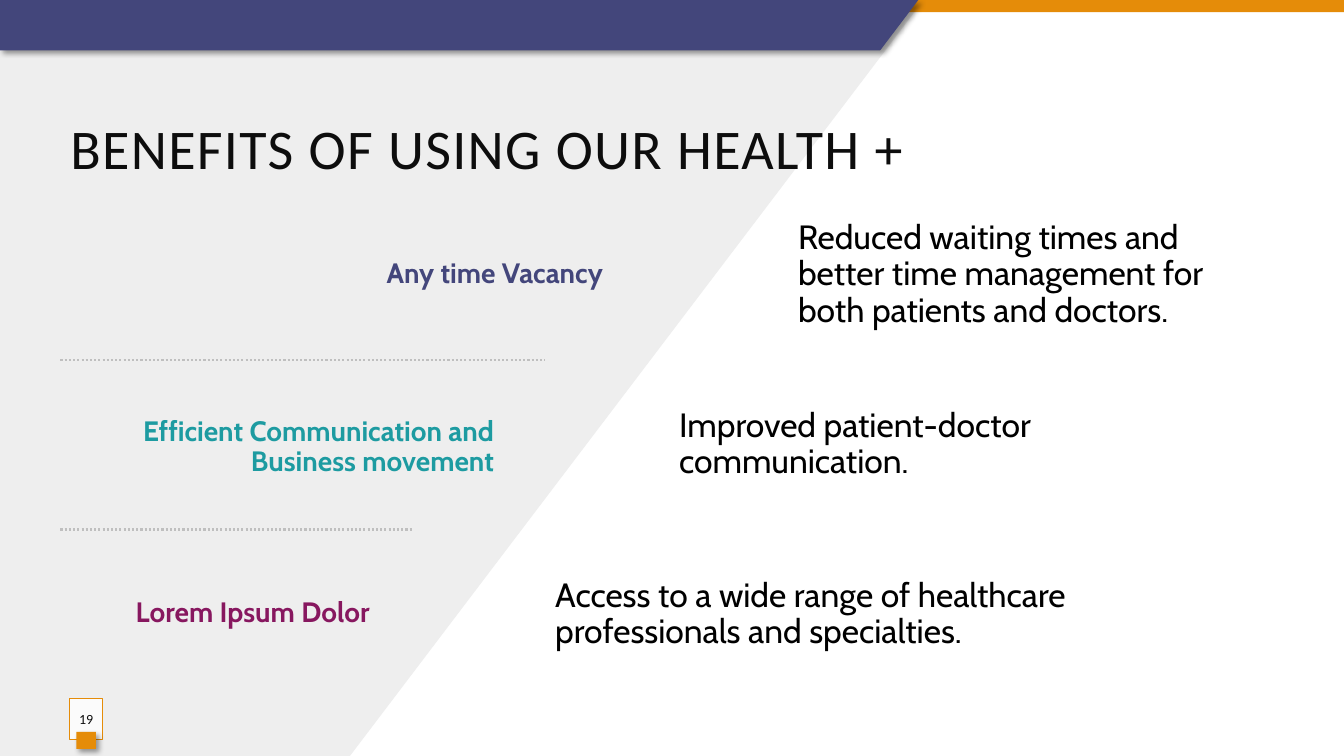
"""Builds the slide on the benefits of a health service."""
from lxml import etree
from pptx import Presentation
from pptx import util as u
from pptx.dml.color import RGBColor
from pptx.enum import dml, shapes, text
from pptx.oxml.ns import qn

COLORS = {
    "white": "FFFFFF", "panel": "EEEEEE", "orange": "E58C09", "indigo": "43467B",
    "teal": "1D9BA1", "plum": "87175F", "ink": "0D0D0D", "black": "000000",
    "rule": "BFBFBF",
}


def rgb(name):
    return RGBColor.from_string(COLORS[name])


def write(frame, wording, font="Cabin", size=24, color="black", bold=False,
          align=text.PP_ALIGN.LEFT, anchor=text.MSO_ANCHOR.MIDDLE,
          line_spacing=None, after=0, tracking=None):
    frame.word_wrap = True
    frame.vertical_anchor = anchor
    paragraph = frame.paragraphs[0]
    paragraph.alignment = align
    paragraph.space_after = u.Pt(after)
    if line_spacing:
        paragraph.line_spacing = line_spacing
    run = paragraph.add_run()
    run.text = wording
    run.font.name = font
    run.font.size = u.Pt(size)
    run.font.bold = bold
    run.font.color.rgb = rgb(color)
    if tracking:
        run.font._element.set("spc", str(tracking * 100))


class SlideBuilder:
    def __init__(self, slide, heading_font, body_font):
        self.slide = slide
        self.heading_font = heading_font
        self.body_font = body_font

    def paint(self, shape, fill, line=None, shadow=False):
        shape.shadow.inherit = False
        shape.fill.solid()
        shape.fill.fore_color.rgb = rgb(fill)
        if line:
            shape.line.color.rgb = rgb(line)
            shape.line.width = u.Pt(0.75)
        else:
            shape.line.fill.background()
        if shadow:
            effects = shape._element.spPr.find(qn("a:effectLst"))
            outer = etree.SubElement(
                effects, qn("a:outerShdw"), blurRad=str(u.Pt(4)), dist=str(u.Pt(3)),
                dir="2700000", algn="tl", rotWithShape="0")
            tint = etree.SubElement(outer, qn("a:srgbClr"), val=COLORS["black"])
            etree.SubElement(tint, qn("a:alpha"), val="40000")
        return shape

    def outline(self, points, fill, shadow=False):
        start, *rest = [(u.Pt(x), u.Pt(y)) for x, y in points]
        builder = self.slide.shapes.build_freeform(*start)
        builder.add_line_segments(rest, close=True)
        return self.paint(builder.convert_to_shape(), fill, shadow=shadow)

    def rectangle(self, left, top, width, height, fill, line=None, shadow=False):
        shape = self.slide.shapes.add_shape(
            shapes.MSO_SHAPE.RECTANGLE, u.Pt(left), u.Pt(top), u.Pt(width), u.Pt(height))
        return self.paint(shape, fill, line, shadow)

    def label(self, wording, left, top, width, height, **style):
        box = self.slide.shapes.add_textbox(
            u.Pt(left), u.Pt(top), u.Pt(width), u.Pt(height))
        write(box.text_frame, wording, **style)

    def title(self, wording, left, top, width, height):
        self.label(wording, left, top, width, height, font=self.heading_font, size=40,
                   color="ink", anchor=text.MSO_ANCHOR.TOP, tracking=1)

    def body(self, wording, left, top, width, height, **style):
        self.label(wording, left, top, width, height, font=self.body_font,
                   line_spacing=0.9, after=2, **style)

    def divider(self, left, right, y):
        rule = self.slide.shapes.add_connector(
            shapes.MSO_CONNECTOR.STRAIGHT, u.Pt(left), u.Pt(y), u.Pt(right), u.Pt(y))
        rule.line.color.rgb = rgb("rule")
        rule.line.width = u.Pt(1.5)
        rule.line.dash_style = dml.MSO_LINE.ROUND_DOT
        etree.SubElement(rule._element.spPr, qn("a:effectLst"))

    def page_number(self, number):
        frame = self.rectangle(49.5, 499, 24, 29, "white", line="orange")
        color = frame._element.spPr.find(qn("a:solidFill"))[0]
        etree.SubElement(color, qn("a:alpha"), val="82000")
        frame.text_frame.margin_left = frame.text_frame.margin_right = 0
        write(frame.text_frame, number, font=self.heading_font, size=10, color="ink",
              align=text.PP_ALIGN.CENTER)
        self.rectangle(54.5, 522.75, 14, 12.25, "orange", shadow=True)


def main():
    deck = Presentation()
    deck.slide_width, deck.slide_height = u.Pt(960), u.Pt(540)
    page = SlideBuilder(deck.slides.add_slide(deck.slide_layouts[6]), "Calibri", "Cabin")

    page.outline([(0, 0), (656, 0), (656, 5), (250, 540), (0, 540)], "panel")
    page.rectangle(0, 0, 960, 8.75, "orange")
    page.outline([(0, 0), (656, 0), (628.75, 36), (0, 36)], "indigo", shadow=True)
    page.title("BENEFITS OF USING OUR HEALTH +", 43.2, 77.75, 851, 55.5)

    benefits = [
        ("Any time Vacancy", "indigo", 179.25, 437.75, 563,
         "Reduced waiting times and better time management for both patients and doctors."),
        ("Efficient Communication and Business movement", "teal", 303, 360, 478,
         "Improved patient-doctor communication."),
        ("Lorem Ipsum Dolor ", "plum", 422, 275.75, 389.5,
         "Access to a wide range of healthcare professionals and specialties."),
    ]
    row_pitch, left_edge, right_edge = 121.25, 43.2, 902.75
    for row, (heading, color, top, heading_end, left, detail) in enumerate(benefits):
        page.body(detail, left, 160.5 + row * row_pitch, right_edge - left, 72)
        page.body(heading, left_edge, top, heading_end - left_edge, 33, size=20,
                  color=color, bold=True, align=text.PP_ALIGN.RIGHT)

    for row, rule_end in enumerate([389, 295]):
        page.divider(left_edge, rule_end, 257 + row * row_pitch)
    page.page_number("19")
    deck.save("out.pptx")


if __name__ == "__main__":
    main()
